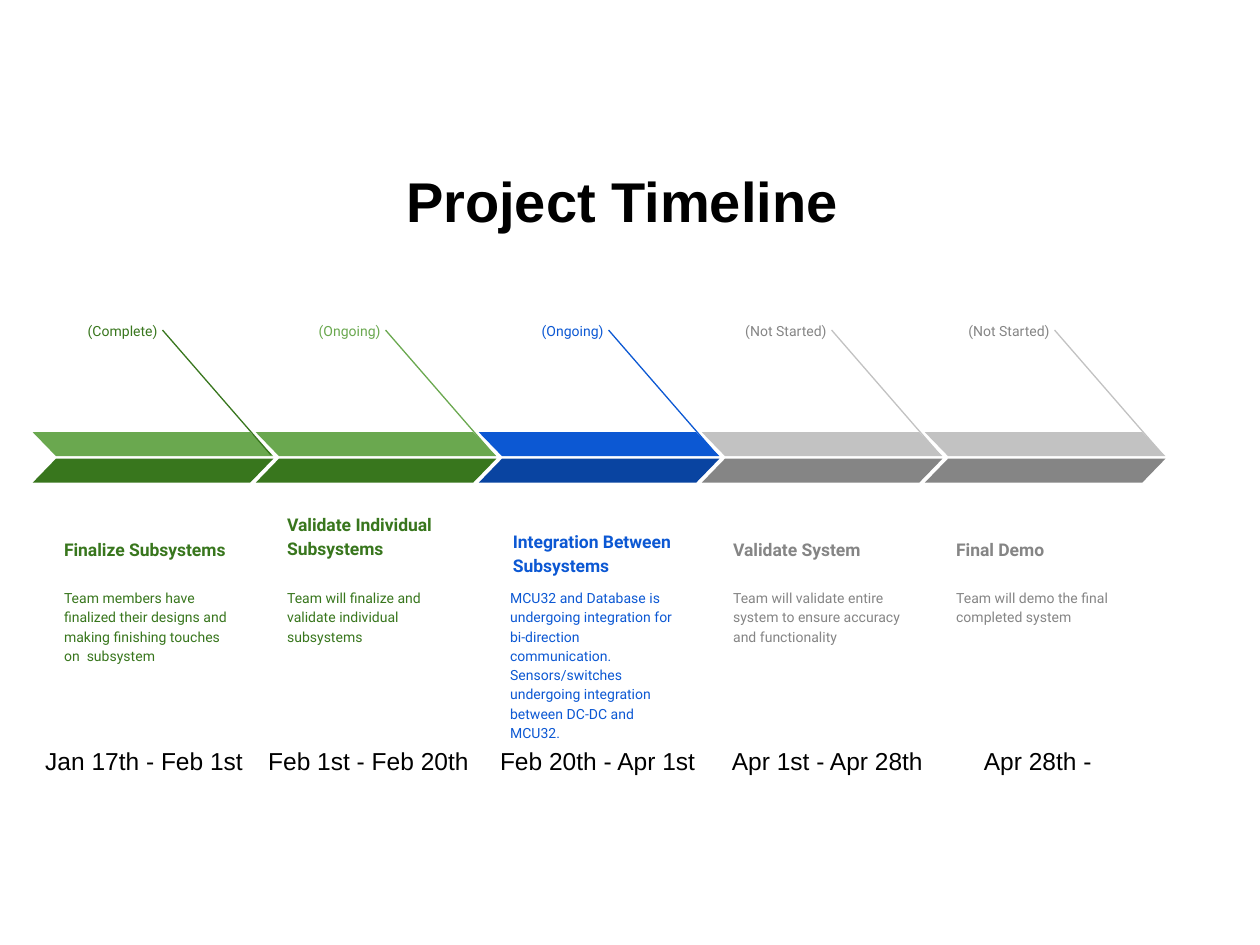
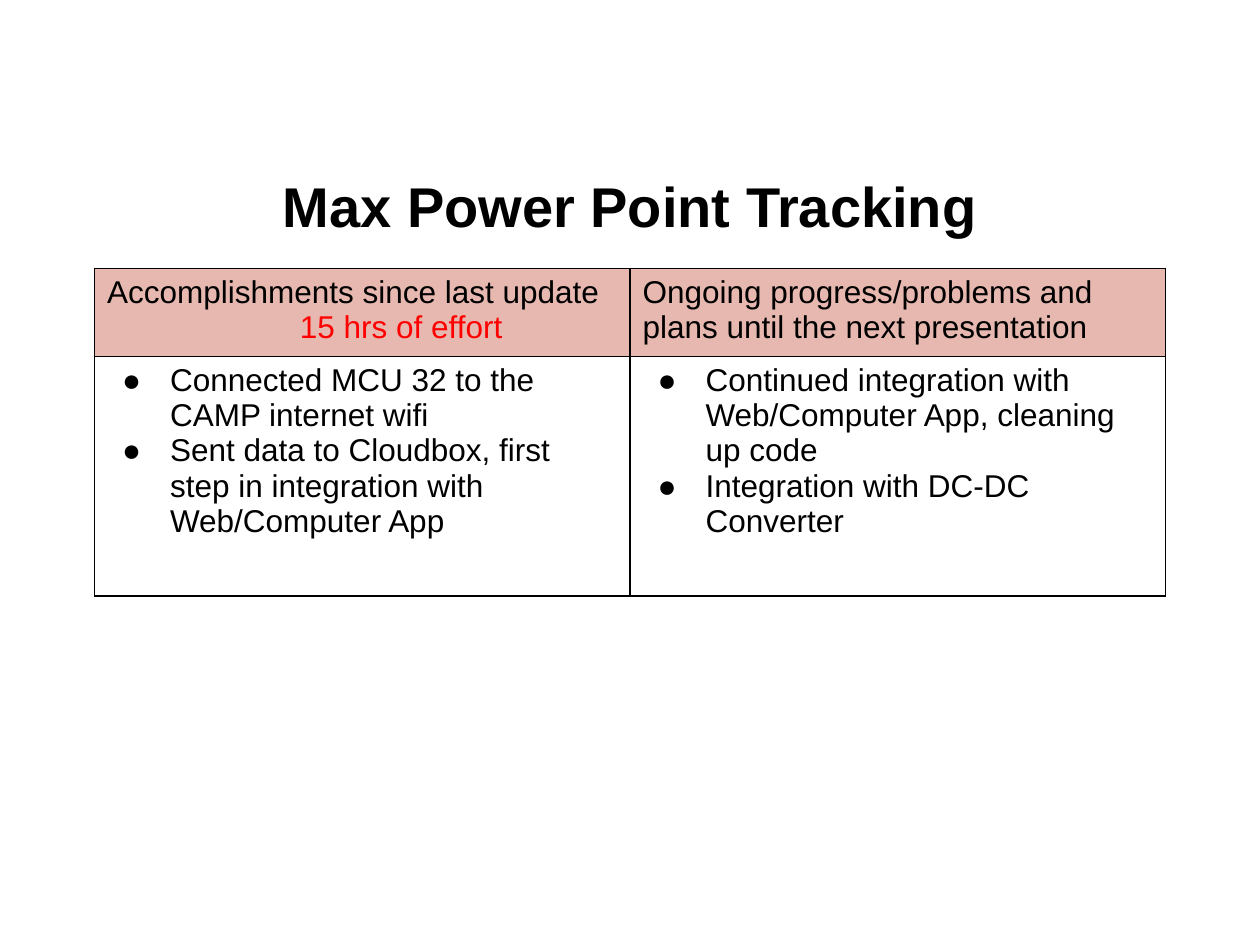
from collections import namedtuple
from dataclasses import dataclass

from lxml.etree import SubElement
from pptx import Presentation
from pptx.dml.color import RGBColor
from pptx.enum.shapes import MSO_CONNECTOR as Connector, MSO_SHAPE as Shape
from pptx.enum.text import MSO_ANCHOR as Anchor, MSO_AUTO_SIZE as AutoSize, PP_ALIGN as Align
from pptx.oxml.ns import qn
from pptx.util import Inches, Pt


@dataclass(frozen=True)
class Theme:
    black: str = "000000"
    red: str = "FF0000"
    header_fill: str = "E6B8AF"
    light_green: str = "6AA84F"
    green: str = "38761D"
    blue: str = "0C58D3"
    dark_blue: str = "0944A1"
    light_grey: str = "C2C2C2"
    grey: str = "858585"
    font: str = "Arial"
    stage_font: str = "Roboto"
    title_size: int = 32
    table_size: int = 18
    date_size: int = 14
    heading_size: int = 10
    detail_size: int = 8
    stage_spacing: float = 1.15


THEME = Theme()
Box = namedtuple("Box", "left top width height")
Stage = namedtuple("Stage", "heading detail status upper lower text_color status_color "
                   "leader_color date date_shift", defaults=(0,))

TITLE_BOX = Box(0.5, 1.15, 9, 0.88)
TIMELINE_BOX = Box(0.26, 2.46, 8.99, 3.8)
TABLE_BOX = Box(0.75, 2.13, 8.5, 2.6)
STAGE_PITCH = 1.77
HEADER_HEIGHT = 0.7

STAGES = [
    Stage("Finalize Subsystems",
          "Team members have finalized their designs and making finishing touches on  subsystem",
          "(Complete)", THEME.light_green, THEME.green, THEME.green, THEME.green,
          THEME.green, "Jan 17th - Feb 1st"),
    Stage("Validate Individual Subsystems",
          "Team will finalize and validate individual subsystems",
          "(Ongoing)", THEME.light_green, THEME.green, THEME.green, THEME.light_green,
          THEME.light_green, "Feb 1st - Feb 20th"),
    Stage("Integration Between Subsystems",
          "MCU32 and Database is undergoing integration for bi-direction communication. "
          "Sensors/switches undergoing integration between DC-DC and MCU32.",
          "(Ongoing)", THEME.blue, THEME.dark_blue, THEME.blue, THEME.blue,
          THEME.blue, "Feb 20th - Apr 1st", 0.07),
    Stage("Validate System",
          "Team will validate entire system to ensure accuracy and functionality",
          "(Not Started)", THEME.light_grey, THEME.grey, THEME.grey, THEME.grey,
          THEME.light_grey, "Apr 1st - Apr 28th", 0.14),
    Stage("Final Demo", "Team will demo the final completed system",
          "(Not Started)", THEME.light_grey, THEME.grey, THEME.grey, THEME.grey,
          THEME.light_grey, "Apr 28th -", 0.37),
]

PROGRESS = [
    ["Connected MCU 32 to the CAMP internet wifi",
     "Sent data to Cloudbox, first step in integration with Web/Computer App"],
    ["Continued integration with Web/Computer App, cleaning up code",
     "Integration with DC-DC Converter"],
]


def rgb(color):
    return RGBColor.from_string(color)


def lengths(box):
    return [Inches(side) for side in box]


def write(paragraph, text, *, size, color=THEME.black, font=THEME.font, bold=False,
          align=Align.LEFT, spacing=None):
    run = paragraph.add_run()
    run.text = text
    run.font.name, run.font.size, run.font.bold = font, Pt(size), bold
    run.font.color.rgb = rgb(color)
    paragraph.alignment = align
    if spacing:
        paragraph.line_spacing = spacing


def indent(paragraph, left, first=0):
    properties = paragraph._p.get_or_add_pPr()
    properties.set("marL", str(Inches(left)))
    properties.set("indent", str(Inches(first)))
    return properties


def add_bullet(paragraph):
    properties = indent(paragraph, 0.5, -0.38)
    color = SubElement(properties, qn("a:buClr"))
    SubElement(color, qn("a:srgbClr"), val=THEME.black)
    SubElement(properties, qn("a:buFont"), typeface=THEME.font)
    SubElement(properties, qn("a:buChar"), char="●")


def add_label(slide, box, text, anchor=Anchor.TOP, **style):
    frame = slide.shapes.add_textbox(*lengths(box)).text_frame
    frame.word_wrap = True
    frame.vertical_anchor = anchor
    frame.margin_left = frame.margin_right = Inches(0.1)
    frame.margin_top = frame.margin_bottom = Inches(0.1)
    write(frame.paragraphs[0], text, **style)


def add_band(slide, box, color, flipped=False):
    band = slide.shapes.add_shape(Shape.PARALLELOGRAM, *lengths(box))
    band.adjustments[0] = 0.97
    band.shadow.inherit = False
    band.fill.solid()
    band.fill.fore_color.rgb = rgb(color)
    band.line.fill.background()
    if flipped:
        band.element.spPr.get_or_add_xfrm().set("flipH", "1")


def add_leader(slide, box, color):
    """Draw the thin line from a status down to the tip of its arrow."""
    ends = box.left, box.top, box.left + box.width, box.top + box.height
    leader = slide.shapes.add_connector(Connector.STRAIGHT, *lengths(ends))
    leader.line.color.rgb = rgb(color)
    leader.line.width = Pt(0.75)
    SubElement(leader.element.spPr, qn("a:effectLst"))


def add_stage(slide, box, stage):
    def part(left, top, width, height):
        return Box(box.left + left, box.top + top, width, height)

    def draw_arrow():
        add_band(slide, part(0, 0.97, 1.91, 0.19), stage.upper, flipped=True)
        add_band(slide, part(0, 1.18, 1.91, 0.19), stage.lower)

    def draw_leader():
        add_leader(slide, part(1.03, 0.16, 0.86, 0.99), stage.leader_color)

    steps = [draw_leader, draw_arrow]
    if stage.leader_color == stage.lower:  # a dark leader runs over its arrow
        steps.reverse()
    for draw in steps:
        draw()

    style = dict(font=THEME.stage_font, spacing=THEME.stage_spacing)
    heading_drop = 0.13 if stage.text_color == THEME.blue else 0
    add_label(slide, part(0.15 + heading_drop / 6, 1.49 + heading_drop, 1.58, 0.59),
              stage.heading, Anchor.BOTTOM, size=THEME.heading_size, bold=True,
              color=stage.text_color, **style)
    add_label(slide, part(0.15, 2.1, 1.58, 0.98), stage.detail,
              size=THEME.detail_size, color=stage.text_color, **style)
    add_label(slide, part(0, 0, 1.09, 0.32), stage.status, size=THEME.detail_size,
              color=stage.status_color, align=Align.RIGHT, **style)
    add_label(slide, part(stage.date_shift, 3.36, 1.91, 0.44), stage.date,
              size=THEME.date_size)


def add_timeline(slide, box, stages):
    for number, stage in enumerate(stages):
        add_stage(slide, box._replace(left=box.left + number * STAGE_PITCH), stage)


def format_cell(cell, fill=None):
    properties = cell._tc.get_or_add_tcPr()
    for side in ("lnL", "lnR", "lnT", "lnB"):
        border = SubElement(properties, qn(f"a:{side}"), w=str(Pt(1)))
        SubElement(SubElement(border, qn("a:solidFill")), qn("a:srgbClr"), val=THEME.black)
    if fill:
        cell.fill.solid()
        cell.fill.fore_color.rgb = rgb(fill)
    else:
        cell.fill.background()


def add_progress_table(slide, box, columns):
    table = slide.shapes.add_table(2, len(columns), *lengths(box)).table
    for column in table.columns:
        column.width = Inches(box.width / len(columns))
    table.rows[0].height = Inches(HEADER_HEIGHT)
    table.rows[1].height = Inches(box.height - HEADER_HEIGHT)

    done, planned = table.cell(0, 0).text_frame, table.cell(0, 1).text_frame
    write(done.paragraphs[0], "Accomplishments since last update", size=THEME.table_size)
    effort = done.add_paragraph()
    write(effort, "15 hrs of effort", size=THEME.table_size, color=THEME.red)
    indent(effort, 1.53)
    write(planned.paragraphs[0],
          "Ongoing progress/problems and plans until the next presentation",
          size=THEME.table_size)

    for number, items in enumerate(columns):
        format_cell(table.cell(0, number), THEME.header_fill)
        format_cell(table.cell(1, number))
        frame = table.cell(1, number).text_frame
        for position, item in enumerate(items):
            paragraph = frame.add_paragraph() if position else frame.paragraphs[0]
            write(paragraph, item, size=THEME.table_size)
            add_bullet(paragraph)


def add_titled_slide(deck, text, spacing=None):
    slide = deck.slides.add_slide(deck.slide_layouts[5])
    title = slide.shapes.title
    title.left, title.top, title.width, title.height = lengths(TITLE_BOX)
    frame = title.text_frame
    frame.auto_size = AutoSize.NONE
    frame.vertical_anchor = Anchor.MIDDLE
    write(frame.paragraphs[0], text, size=THEME.title_size, bold=True,
          align=Align.CENTER, spacing=spacing)
    return slide


def main():
    deck = Presentation()
    deck.slide_width, deck.slide_height = Inches(10), Inches(7.5)
    add_timeline(add_titled_slide(deck, "Project Timeline "), TIMELINE_BOX, STAGES)
    add_progress_table(add_titled_slide(deck, "Max Power Point Tracking", spacing=1.15),
                       TABLE_BOX, PROGRESS)
    deck.save("out.pptx")


if __name__ == "__main__":
    main()
